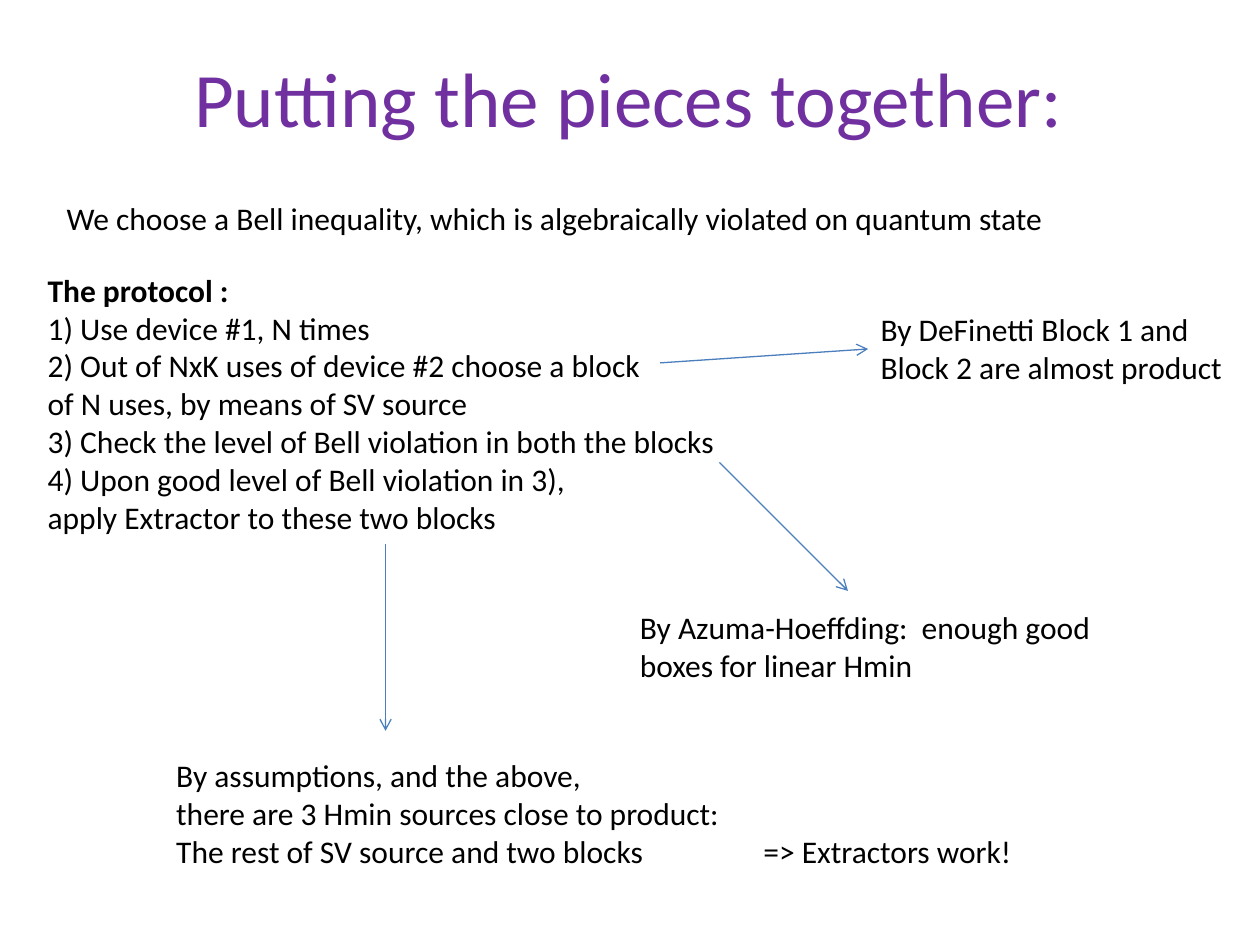
import pptx
import pptx.util
import pptx.dml.color
import pptx.enum.shapes
import pptx.enum.text
from lxml import etree
from pptx.oxml.ns import qn
from pptx.util import Inches, Pt

PURPLE = pptx.dml.color.RGBColor(0x70, 0x30, 0xA0)
BLACK = pptx.dml.color.RGBColor(0, 0, 0)
BLUE = pptx.dml.color.RGBColor(0x4B, 0x7E, 0xBC)

deck = pptx.Presentation()
deck.slide_width, deck.slide_height = Inches(10), Inches(7.5)
page = deck.slides.add_slide(deck.slide_layouts[6])


def add_text(left, top, width, height, lines, size=18, color=BLACK):
    box = page.shapes.add_textbox(Inches(left), Inches(top), Inches(width), Inches(height))
    frame = box.text_frame
    frame.word_wrap = False
    frame.text = "\n".join(lines)
    for para in frame.paragraphs:
        for span in para.runs:
            span.font.name = "Calibri"
            span.font.size = Pt(size)
            span.font.color.rgb = color
    return frame


title = add_text(0.49, 0.14, 9, 1.25, ["Putting the pieces together:"], 44, PURPLE)
title.word_wrap = True
title.vertical_anchor = pptx.enum.text.MSO_ANCHOR.MIDDLE
title.paragraphs[0].alignment = pptx.enum.text.PP_ALIGN.CENTER

add_text(0.43, 1.53, 8.04, 0.4, [
    "We choose a Bell inequality, which is algebraically violated on quantum state"])

protocol = add_text(0.28, 2.1, 5.56, 2.22, [
    "The protocol :",
    "1) Use device #1, N times",
    "2) Out of NxK uses of device #2 choose a block",
    "of N uses, by means of SV source",
    "3) Check the level of Bell violation in both the blocks",
    "4) Upon good level of Bell violation in 3),",
    "apply Extractor to these two blocks"])
protocol.paragraphs[0].runs[0].font.bold = True

add_text(6.89, 2.41, 2.94, 0.71, ["By DeFinetti Block 1 and", "Block 2 are almost product"])
add_text(4.98, 4.78, 3.83, 0.71, ["By Azuma-Hoeffding:  enough good", "boxes for linear Hmin"])

conclusion = add_text(1.3, 5.95, 6.92, 1.01, [
    "By assumptions, and the above,",
    "there are 3 Hmin sources close to product:",
    "The rest of SV source and two blocks\t=> Extractors work!"])
# A tab stop sets the closing remark apart from the last line
properties = conclusion.paragraphs[-1]._p.get_or_add_pPr()
tabs = etree.SubElement(properties, qn("a:tabLst"))
etree.SubElement(tabs, qn("a:tab"), pos=str(Inches(4.66)), algn="l")

arrows = [
    (5.24, 2.88, 6.89, 2.77),  # choice of block -> DeFinetti
    (5.71, 3.67, 6.73, 4.69),  # Bell violation -> Azuma-Hoeffding
    (3.06, 4.32, 3.06, 5.8),   # extractor -> conclusion
]
for ends in arrows:
    arrow = page.shapes.add_connector(
        pptx.enum.shapes.MSO_CONNECTOR.STRAIGHT, *[Inches(end) for end in ends])
    arrow.line.color.rgb = BLUE
    arrow.line.width = Pt(0.75)
    etree.SubElement(arrow.line._get_or_add_ln(), qn("a:tailEnd"), type="arrow")
    etree.SubElement(arrow._element.spPr, qn("a:effectLst"))

deck.save("out.pptx")
